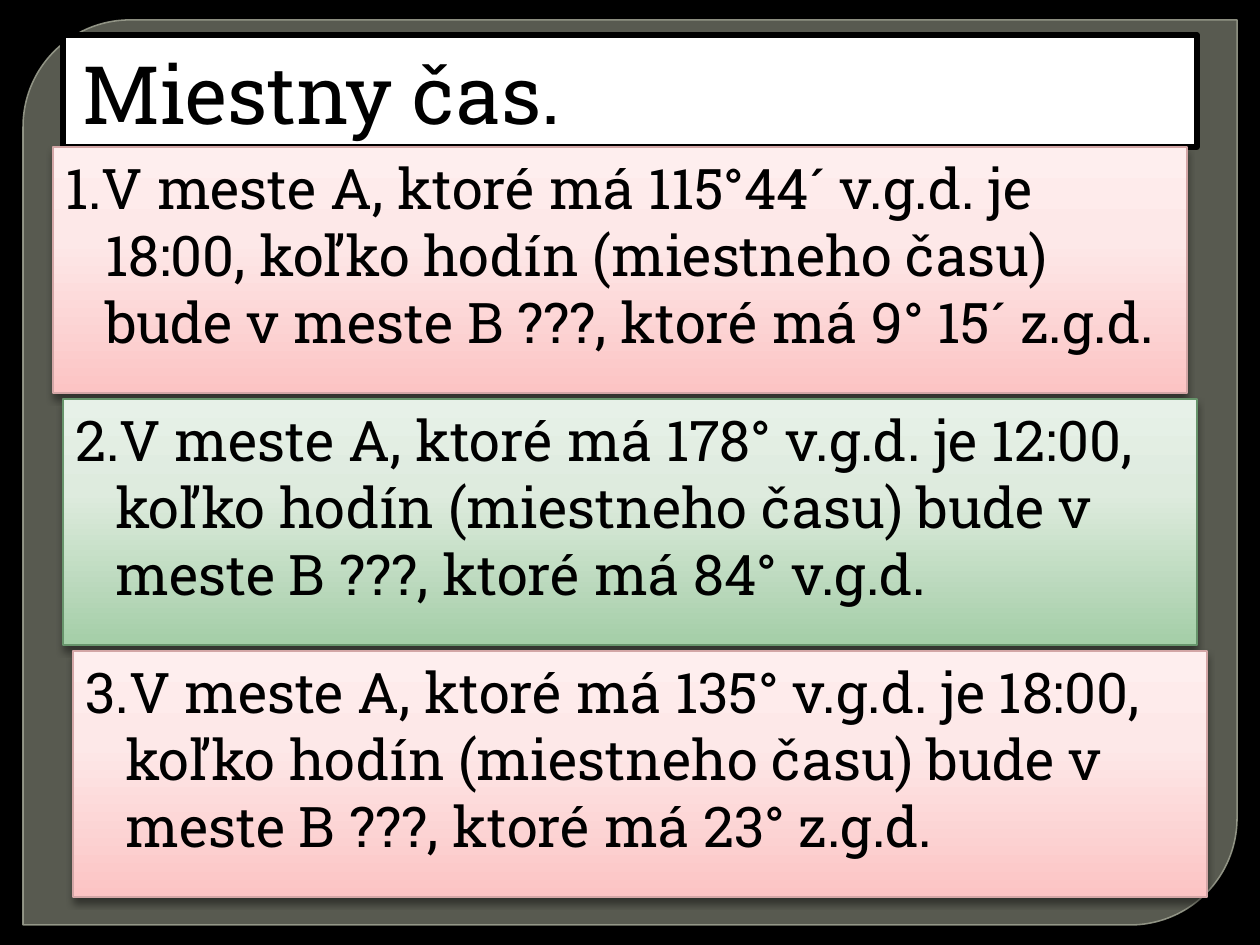
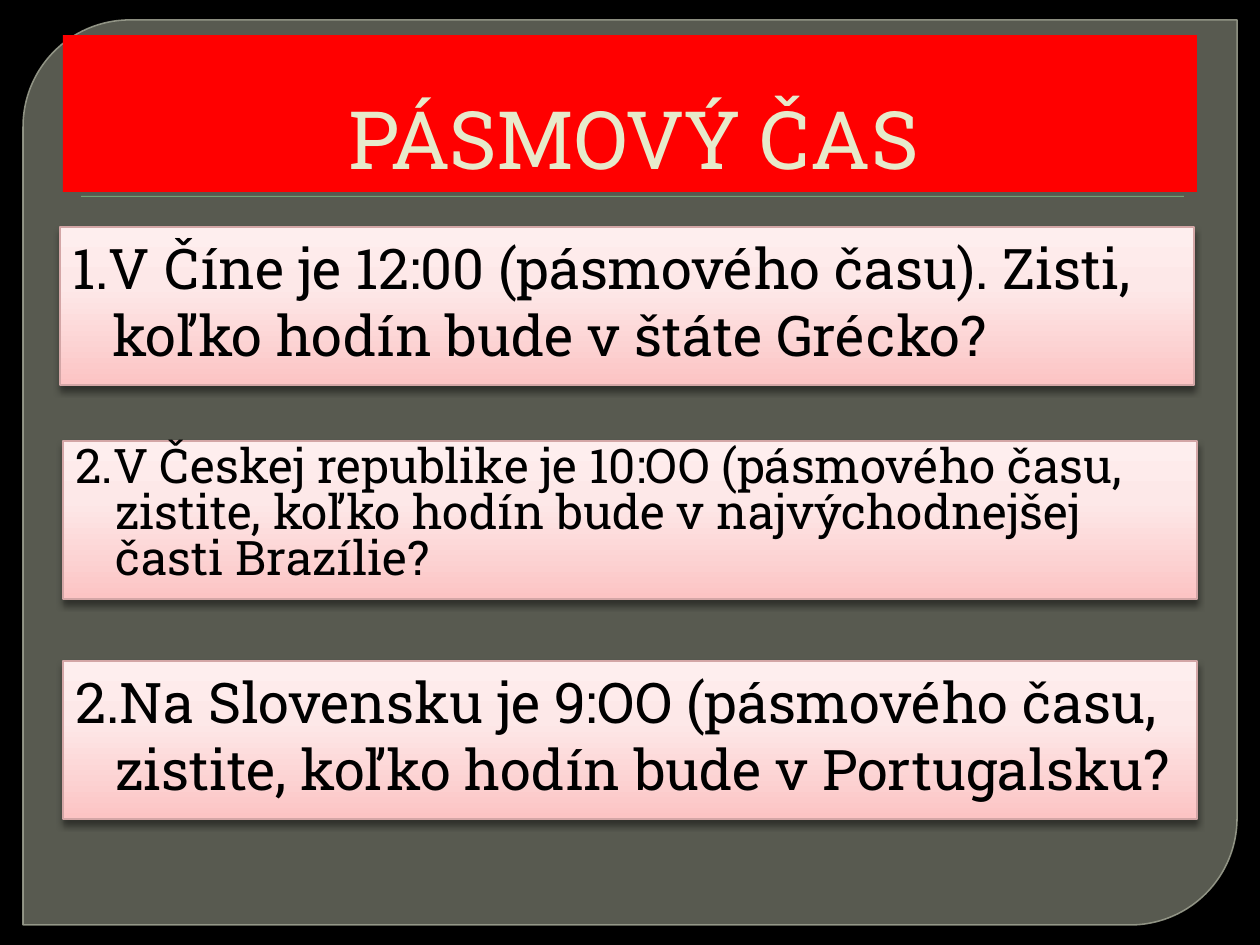
"""Build two slides of exercises on local time and zone time."""
import pptx
import pptx.util
import pptx.dml.color
import pptx.enum.shapes
import pptx.enum.text
import pptx.oxml
import pptx.oxml.ns
import copy

RGBColor = pptx.dml.color.RGBColor
MSO_SHAPE = pptx.enum.shapes.MSO_SHAPE
PP_ALIGN = pptx.enum.text.PP_ALIGN
Pt = pptx.util.Pt
qn = pptx.oxml.ns.qn

PX = 914400 / 126
FONT = "Roboto Slab"
BLACK = RGBColor(0x00, 0x00, 0x00)
WHITE = RGBColor(0xFF, 0xFF, 0xFF)
RED = RGBColor(0xFF, 0x00, 0x00)
CREAM = RGBColor(0xE7, 0xEA, 0xCB)
PANEL = RGBColor(0x88, 0x8B, 0x7B)
PANEL_EDGE = RGBColor(0x9D, 0xA0, 0x90)
RULE = RGBColor(0x72, 0xA3, 0x76)
PINK_STOPS = [RGBColor(0xFC, 0xC4, 0xC4), RGBColor(0xFD, 0xE8, 0xE8), RGBColor(0xFE, 0xEE, 0xEE)]
PINK_EDGE = RGBColor(0xD3, 0xA6, 0xA6)
GREEN_STOPS = [RGBColor(0xA4, 0xCE, 0xA7), RGBColor(0xDE, 0xEB, 0xDE), RGBColor(0xE7, 0xF1, 0xE8)]
GREEN_EDGE = RGBColor(0x67, 0x94, 0x6B)
PINK = (PINK_STOPS, PINK_EDGE)
GREEN = (GREEN_STOPS, GREEN_EDGE)


def add_block(slide, kind, box, fill=None, edge=None, edge_width=0, shadow=None):
    shape = slide.shapes.add_shape(kind, *[round(length * PX) for length in box])
    shape.shadow.inherit = False
    if fill is not None:
        shape.fill.solid()
        shape.fill.fore_color.rgb = fill
    if edge is None:
        shape.line.fill.background()
    else:
        shape.line.color.rgb = edge
        shape.line.width = Pt(edge_width)
    if shadow:
        alpha, blur, distance = shadow
        shape._element.spPr.find(qn("a:effectLst")).append(pptx.oxml.parse_xml(
            f'<a:outerShdw {pptx.oxml.ns.nsdecls("a")} blurRad="{Pt(blur)}" dist="{Pt(distance)}" '
            f'dir="5400000" algn="ctr" rotWithShape="0"><a:srgbClr val="000000">'
            f'<a:alpha val="{alpha * 1000}"/></a:srgbClr></a:outerShdw>'))
    return shape


def write(shape, text, size, color, left, indent, anchor, align=PP_ALIGN.LEFT, spacing=None):
    frame = shape.text_frame
    frame.word_wrap = True
    frame.vertical_anchor = anchor
    paragraph = frame.paragraphs[0]
    paragraph.text = text
    paragraph.alignment = align
    paragraph.line_spacing = spacing
    properties = paragraph._p.get_or_add_pPr()
    properties.set("marL", str(round(left * PX)))
    properties.set("indent", str(round(indent * PX)))
    paragraph.font.name = FONT
    paragraph.font.size = Pt(size)
    paragraph.font.color.rgb = color


LOCAL_TIME = [
    (53, 147, GREEN and PINK, 32, None,
     "1.V meste A, ktoré má 115°44´ v.g.d. je 18:00, koľko hodín (miestneho času) "
     "bude v meste B ???, ktoré má 9° 15´ z.g.d."),
    (63, 399, GREEN, 32, None,
     "2.V meste A, ktoré má 178° v.g.d. je 12:00, koľko hodín (miestneho času) "
     "bude v meste B ???, ktoré má 84° v.g.d."),
    (73, 651, PINK, 32, None,
     "3.V meste A, ktoré má 135° v.g.d. je 18:00, koľko hodín (miestneho času) "
     "bude v meste B ???, ktoré má 23° z.g.d."),
]
LOCAL_TIME[0] = LOCAL_TIME[0][:2] + (PINK,) + LOCAL_TIME[0][3:]
ZONE_TIME = [
    (60, 227, PINK, 32, None,
     "1.V Číne je 12:00 (pásmového času). Zisti, koľko hodín bude v štáte Grécko?"),
    (63, 441, PINK, 27.2, 0.8,
     "2.V Českej republike je 10:OO (pásmového času, zistite, koľko hodín bude "
     "v najvýchodnejšej časti Brazílie?"),
    (63, 661, PINK, 32, None,
     "2.Na Slovensku je 9:OO (pásmového času, zistite, koľko hodín bude v Portugalsku?"),
]
SLIDES = [
    ("Miestny čas.", 112, WHITE, BLACK, BLACK, PP_ALIGN.LEFT, 246, LOCAL_TIME),
    ("PÁSMOVÝ ČAS", 157, RED, None, CREAM, PP_ALIGN.CENTER, 158, ZONE_TIME),
]

presentation = pptx.Presentation()
presentation.slide_width = round(1260 * PX)
presentation.slide_height = round(945 * PX)

for title, title_height, title_fill, title_edge, title_color, align, card_height, exercises in SLIDES:
    slide = presentation.slides.add_slide(presentation.slide_layouts[6])
    slide.background.fill.solid()
    slide.background.fill.fore_color.rgb = BLACK

    panel = add_block(slide, MSO_SHAPE.ROUND_2_DIAG_RECTANGLE, (23, 20, 1214, 905),
                      PANEL, PANEL_EDGE, 0.87)
    panel.adjustments[0] = 0.118
    panel.adjustments[1] = 0
    for color, alpha in zip(panel._element.spPr.iter(qn("a:srgbClr")), (65000, 88000)):
        color.append(pptx.oxml.parse_xml(f'<a:alpha {pptx.oxml.ns.nsdecls("a")} val="{alpha}"/>'))
    add_block(slide, MSO_SHAPE.RECTANGLE, (81, 196, 1103, 1), RULE, shadow=(75, 1, 1))

    heading = add_block(slide, MSO_SHAPE.RECTANGLE, (63, 35, 1134, title_height),
                        title_fill, title_edge, 3)
    write(heading, title, 46, title_color, 7, 0, pptx.enum.text.MSO_ANCHOR.BOTTOM, align)

    for left, top, (stops, edge), size, spacing, text in exercises:
        card = add_block(slide, MSO_SHAPE.RECTANGLE, (left, top, 1134, card_height),
                         edge=edge, edge_width=0.75, shadow=(43, 4, 3))
        card.fill.gradient()
        card.fill.gradient_angle = 90
        stop_list = card._element.spPr.find(".//" + qn("a:gsLst"))
        stop_list.append(copy.deepcopy(stop_list[-1]))
        for stop, position, color in zip(card.fill.gradient_stops, (0, 0.62, 1), stops):
            stop.position = position
            stop.color.rgb = color
        write(card, text, size, BLACK, 40, -40, pptx.enum.text.MSO_ANCHOR.TOP, spacing=spacing)

presentation.save("out.pptx")
